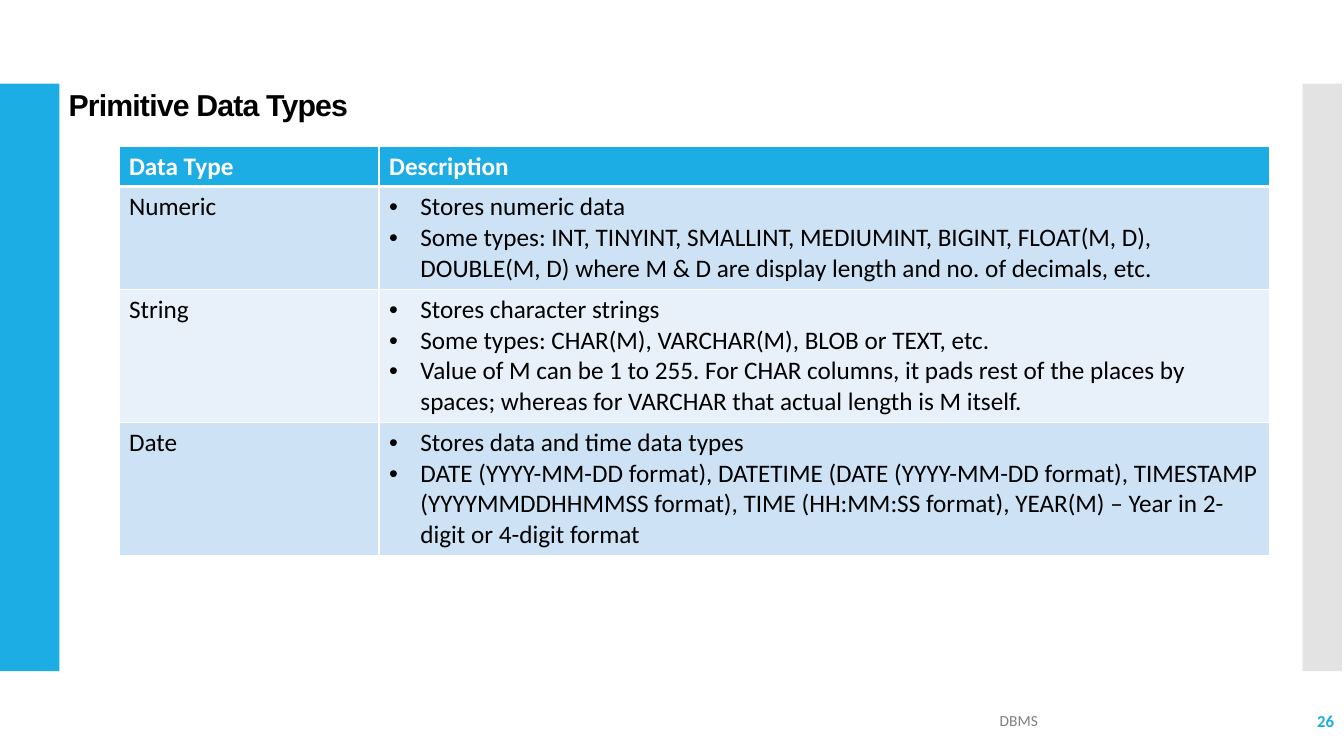
from lxml import etree
from pptx import Presentation
from pptx.dml.color import RGBColor
from pptx.enum import shapes, text
from pptx.oxml import ns
from pptx.util import Inches, Pt

BLUE = RGBColor(0x1C, 0xAD, 0xE4)
GRAY = RGBColor(0xC8, 0xC8, 0xC8)
FOOTER_GRAY = RGBColor(0x80, 0x80, 0x80)
BAND_DARK = RGBColor(0xCD, 0xE3, 0xF5)
BAND_LIGHT = RGBColor(0xE8, 0xF1, 0xFA)
WHITE = RGBColor(0xFF, 0xFF, 0xFF)
BLACK = RGBColor(0, 0, 0)

DATA_TYPES = [
    ("Numeric", [
        "Stores numeric data",
        "Some types: INT, TINYINT, SMALLINT, MEDIUMINT, BIGINT, FLOAT(M, D), "
        "DOUBLE(M, D) where M & D are display length and no. of decimals, etc.",
    ]),
    ("String", [
        "Stores character strings",
        "Some types: CHAR(M), VARCHAR(M), BLOB or TEXT, etc.",
        "Value of M can be 1 to 255. For CHAR columns, it pads rest of the places by "
        "spaces; whereas for VARCHAR that actual length is M itself.",
    ]),
    ("Date", [
        "Stores data and time data types",
        "DATE (YYYY-MM-DD format), DATETIME (DATE (YYYY-MM-DD format), TIMESTAMP "
        "(YYYYMMDDHHMMSS format), TIME (HH:MM:SS format), YEAR(M) – Year in 2-digit "
        "or 4-digit format",
    ]),
]
COLUMN_WIDTHS = [2.58, 8.83]
ROW_HEIGHTS = [0.4, 1.02, 1.32, 1.32]


def sub(parent, tag, **attrs):
    return etree.SubElement(parent, ns.qn(tag), **attrs)


def write(p, words, size=18, font="Calibri", color=BLACK, bold=False,
          align=text.PP_ALIGN.LEFT, bullet=False, spacing=None):
    p.alignment = align
    if bullet:
        pPr = p._p.get_or_add_pPr()
        pPr.set("marL", str(Inches(0.31)))
        pPr.set("indent", str(-Inches(0.31)))
        sub(pPr, "a:buFont", typeface="Arial")
        sub(pPr, "a:buChar", char="•")
    r = p.add_run()
    r.text = words
    r.font.size = Pt(size)
    r.font.name = font
    r.font.bold = bold
    r.font.color.rgb = color
    if spacing is not None:
        r._r.get_or_add_rPr().set("spc", str(spacing))


def add_bar(s, left, width, color, opacity=100):
    sp = s.shapes.add_shape(shapes.MSO_SHAPE.RECTANGLE, Inches(left), Inches(0.83),
                            Inches(width), Inches(5.83))
    sp.shadow.inherit = False
    sp.fill.solid()
    sp.fill.fore_color.rgb = color
    sp.line.fill.background()
    if opacity < 100:
        clr = sp._element.spPr.find(ns.qn("a:solidFill"))[0]
        sub(clr, "a:alpha", val=str(opacity * 1000))


def add_title(s, words):
    title = s.shapes.title
    title.left, title.top = Inches(0.58), Inches(0.86)
    title.width, title.height = Inches(10.44), Inches(0.4)
    tf = title.text_frame
    tf.auto_size = text.MSO_AUTO_SIZE.NONE
    tf.vertical_anchor = text.MSO_ANCHOR.MIDDLE
    p = tf.paragraphs[0]
    p.line_spacing = 0.9
    write(p, words, size=21.6, font="Arial", bold=True, spacing=-60)


def add_footer(s, left, width, words, **style):
    tb = s.shapes.add_textbox(Inches(left), Inches(6.95), Inches(width), Inches(0.4))
    tf = tb.text_frame
    tf.word_wrap = True
    tf.vertical_anchor = text.MSO_ANCHOR.MIDDLE
    write(tf.paragraphs[0], words, **style)


def set_borders(cell, top, bottom):
    tcPr = cell._tc.get_or_add_tcPr()
    widths = {"a:lnL": 1, "a:lnR": 1, "a:lnT": top, "a:lnB": bottom}
    for i, (tag, width) in enumerate(widths.items()):
        ln = etree.Element(ns.qn(tag), w=str(Pt(width)))
        sub(sub(ln, "a:solidFill"), "a:srgbClr", val=str(WHITE))
        tcPr.insert(i, ln)


def fill_cell(cell, lines, fill, top=1, bottom=1, **style):
    cell.fill.solid()
    cell.fill.fore_color.rgb = fill
    set_borders(cell, top, bottom)
    tf = cell.text_frame
    for i, line in enumerate(lines):
        p = tf.add_paragraph() if i else tf.paragraphs[0]
        write(p, line, **style)


def add_types_table(s):
    frame = s.shapes.add_table(len(ROW_HEIGHTS), len(COLUMN_WIDTHS), Inches(1.18),
                               Inches(1.45), Inches(sum(COLUMN_WIDTHS)),
                               Inches(sum(ROW_HEIGHTS)))
    table = frame.table
    for column, width in zip(table.columns, COLUMN_WIDTHS):
        column.width = Inches(width)
    for row, height in zip(table.rows, ROW_HEIGHTS):
        row.height = Inches(height)
    for c, heading in enumerate(["Data Type", "Description"]):
        fill_cell(table.cell(0, c), [heading], BLUE, bottom=3, color=WHITE, bold=True)
    for r, (name, points) in enumerate(DATA_TYPES, 1):
        fill = BAND_DARK if r % 2 else BAND_LIGHT
        top = 3 if r == 1 else 1
        fill_cell(table.cell(r, 0), [name], fill, top=top)
        fill_cell(table.cell(r, 1), points, fill, top=top, bullet=True)


def main():
    prs = Presentation()
    prs.slide_width, prs.slide_height = Inches(13.33), Inches(7.5)
    s = prs.slides.add_slide(prs.slide_layouts[5])
    add_bar(s, 0, 0.59, BLUE)
    add_bar(s, 12.92, 0.39, GRAY, opacity=50)
    add_title(s, "Primitive Data Types")
    add_footer(s, 6.87, 6.47, "DBMS", size=11, color=FOOTER_GRAY,
               align=text.PP_ALIGN.CENTER)
    add_footer(s, 11.66, 1.67, "26", size=12, color=BLUE, bold=True,
               align=text.PP_ALIGN.RIGHT)
    add_types_table(s)
    prs.save("out.pptx")


if __name__ == "__main__":
    main()
